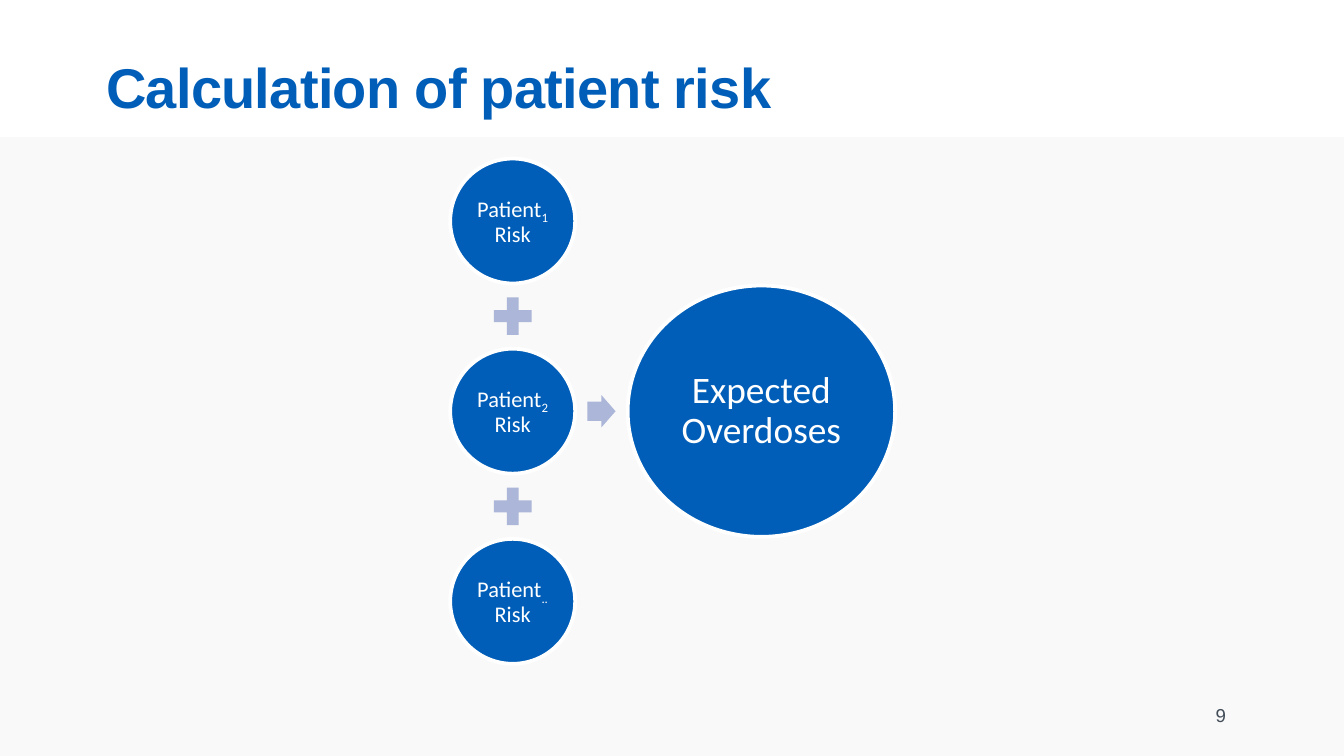
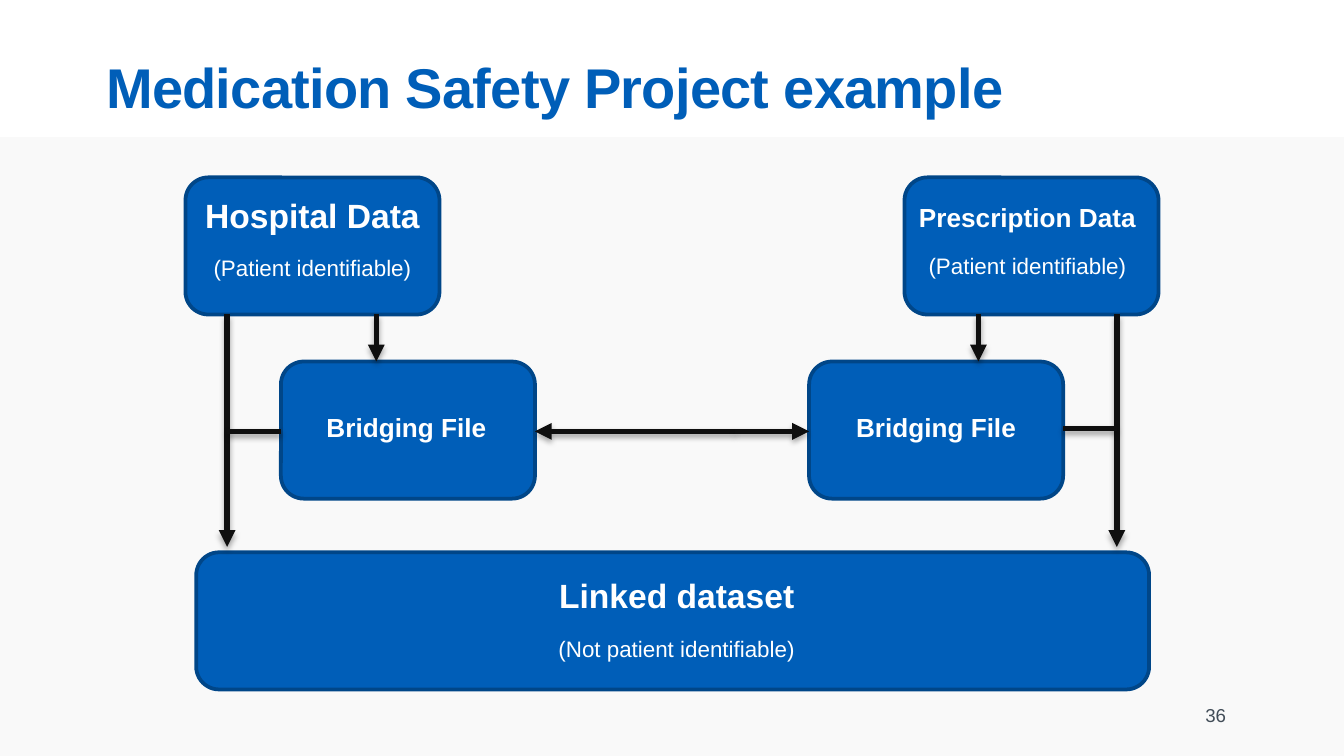
from lxml import etree
from pptx import Presentation
from pptx.dml.color import RGBColor
from pptx.enum.shapes import MSO_CONNECTOR, MSO_SHAPE
from pptx.enum.text import MSO_ANCHOR, PP_ALIGN
from pptx.oxml import parse_xml
from pptx.oxml.ns import nsdecls, qn
from pptx.util import Inches, Pt

BLUE = RGBColor(0x00, 0x5E, 0xB8)
DARK_BLUE = RGBColor(0x00, 0x46, 0x88)
PALE_BLUE = RGBColor(0xAB, 0xB6, 0xD8)
BAND_GREY = RGBColor(0xF9, 0xF9, 0xF9)
NUMBER_GREY = RGBColor(0x42, 0x4D, 0x58)
BLACK = RGBColor(0x0F, 0x0F, 0x0F)
WHITE = RGBColor(0xFF, 0xFF, 0xFF)

ELLIPSE = MSO_SHAPE.OVAL
PLUS = MSO_SHAPE.MATH_PLUS
ARROW = MSO_SHAPE.RIGHT_ARROW
ROUNDED = MSO_SHAPE.ROUNDED_RECTANGLE
RECTANGLE = MSO_SHAPE.RECTANGLE
STRAIGHT = MSO_CONNECTOR.STRAIGHT
MIDDLE, TOP = MSO_ANCHOR.MIDDLE, MSO_ANCHOR.TOP
LEFT, CENTER, RIGHT = PP_ALIGN.LEFT, PP_ALIGN.CENTER, PP_ALIGN.RIGHT

SLIDE_W = 10
SLIDE_H = SLIDE_W * 9 / 16
BAND_TOP = 1.02
BODY = (0, BAND_TOP, SLIDE_W, SLIDE_H - BAND_TOP)
LINE_SHADOW = (
    f'<a:effectLst {nsdecls("a")}>'
    '<a:outerShdw blurRad="39370" dist="22860" dir="5400000" rotWithShape="0">'
    '<a:srgbClr val="000000"><a:alpha val="35000"/></a:srgbClr>'
    '</a:outerShdw></a:effectLst>'
)


def inches(box):
    return [Inches(value) for value in box]


def style(paragraph, size, color, bold=False, align=CENTER, font="Arial"):
    paragraph.alignment = align
    paragraph.font.name = font
    paragraph.font.size = Pt(size)
    paragraph.font.bold = bold
    paragraph.font.color.rgb = color


def prepare_frame(frame, inset=None, anchor=TOP):
    frame.word_wrap = True
    frame.vertical_anchor = anchor
    if inset is not None:
        frame.margin_left = frame.margin_right = Inches(inset)
        frame.margin_top = frame.margin_bottom = Inches(inset)


def add_filled(slide, kind, box, fill, outline=None):
    shape = slide.shapes.add_shape(kind, *inches(box))
    shape.shadow.inherit = False
    shape.fill.solid()
    shape.fill.fore_color.rgb = fill
    if outline is None:
        shape.line.fill.background()
    else:
        shape.line.color.rgb = outline
        shape.line.width = Pt(2)
    return shape


def add_text(slide, box, text, size, color, bold=False, align=CENTER,
             inset=None, anchor=TOP):
    frame = slide.shapes.add_textbox(*inches(box)).text_frame
    prepare_frame(frame, inset, anchor)
    frame.text = text
    style(frame.paragraphs[0], size, color, bold, align)
    return frame


def add_base_slide(prs, title, number):
    """Blank slide with the grey band, the title and the slide number."""
    slide = prs.slides.add_slide(prs.slide_layouts[6])
    add_filled(slide, RECTANGLE, BODY, BAND_GREY)
    heading = add_text(slide, (0.79, 0.39, 8.35, 0.58), title, 30, BLUE,
                       bold=True, align=LEFT, inset=0)
    heading.paragraphs[0].runs[0].font._element.set("spc", "-40")
    add_text(slide, (6.89, 5.17, 2.33, 0.3), number, 10, NUMBER_GREY,
             align=RIGHT, anchor=MIDDLE)
    return slide


def add_circle(slide, box, parts, size, inset):
    """White-ringed circle; parts are (text, is_subscript) pairs."""
    frame = add_filled(slide, ELLIPSE, box, BLUE, WHITE).text_frame
    prepare_frame(frame, inset, MIDDLE)
    paragraph = frame.paragraphs[0]
    paragraph.line_spacing = 0.9
    style(paragraph, size, WHITE, font="Calibri")
    for text, is_subscript in parts:
        run = paragraph.add_run()
        run.text = text
        if is_subscript:
            run.font._element.set("baseline", "-25000")


def add_risk_sum(slide, body):
    """Column of patient risks that adds up to the expected overdoses."""
    left, top = body[0] + 3.35, body[1] + 0.16
    circle, plus = 0.93, 0.38
    subscripts = ("1", "2", "..")
    pitch = 2.83 / (len(subscripts) - 1)
    for i, subscript in enumerate(subscripts):
        y = top + i * pitch
        parts = (("Patient", False), (subscript, True), (" Risk", False))
        add_circle(slide, (left, y, circle, circle), parts, 12, 0.02)
        if i < len(subscripts) - 1:
            gap_middle = y + (circle + pitch) / 2
            add_filled(slide, PLUS, (left + (circle - plus) / 2,
                                     gap_middle - plus / 2, plus, plus), PALE_BLUE)

    middle = top + pitch + circle / 2
    arrow = add_filled(slide, ARROW, (left + 1.02, middle - 0.12, 0.21, 0.24), PALE_BLUE)
    arrow.adjustments[0], arrow.adjustments[1] = 0.6, 0.5
    total_w, total_h = 1.99, 1.87
    add_circle(slide, (left + 1.32, middle - total_h / 2, total_w, total_h),
               (("Expected Overdoses", False),), 20, 0.03)


def add_data_box(slide, box, title, size, note=None, text_drop=0.08, text_shift=0.0):
    """Rounded box with a bold title and an optional smaller note."""
    left, top, width, height = box
    add_filled(slide, ROUNDED, box, BLUE, DARK_BLUE)
    text_height = height - 0.25 if note else height / 2
    frame = add_text(slide, (left + text_shift, top + text_drop, width, text_height),
                     title, size, WHITE, bold=True)
    if note:
        paragraph = frame.add_paragraph()
        paragraph.text = note
        paragraph.space_before = Pt(10.4)
        style(paragraph, 12, WHITE)


def add_flow(slide, start, end, arrowhead=True):
    line = slide.shapes.add_connector(STRAIGHT, *inches(start + end))
    line.line.color.rgb = BLACK
    line.line.width = Pt(3)
    properties = line._element.spPr
    if arrowhead:
        etree.SubElement(properties.find(qn("a:ln")), qn("a:tailEnd"), type="triangle")
    properties.append(parse_xml(LINE_SHADOW))


def add_linkage(slide, body):
    """Two data sources, their bridging files and the dataset linked from them."""
    x, y = body[:2]
    box_w, box_h = 1.89, 1.02
    source_y, bridge_y, linked_y = y + 0.3, y + 1.67, y + 3.09
    hospital_x, prescription_x = x + 1.38, x + 6.73
    bridge_left, bridge_right = x + 2.09, x + 6.02
    identifiable = "(Patient identifiable)"

    add_data_box(slide, (hospital_x, source_y, box_w, box_h),
                 "Hospital Data", 18, identifiable)
    add_data_box(slide, (prescription_x, source_y, box_w, box_h),
                 "Prescription Data", 14, identifiable, 0.13, -0.03)
    for bridge_x, shift in ((bridge_left, -0.01), (bridge_right, 0)):
        add_data_box(slide, (bridge_x, bridge_y, box_w, box_h),
                     "Bridging File", 14, text_drop=0.32, text_shift=shift)
    add_data_box(slide, (x + 1.46, linked_y, 7.09, box_h), "Linked dataset", 18,
                 "(Not patient identifiable)", 0.12, 0.03)

    source_bottom = source_y + box_h
    left_rail, right_rail = x + 1.69, x + 8.31
    for rail in (left_rail, right_rail):
        add_flow(slide, (rail, source_bottom), (rail, linked_y - 0.04))
    for drop in (x + 7.28, x + 2.8):
        add_flow(slide, (drop, source_bottom), (drop, bridge_y))

    link_y, meeting_x = bridge_y + 0.52, x + 5.47
    for bridge_edge in (bridge_left + box_w, bridge_right):
        add_flow(slide, (meeting_x, link_y), (bridge_edge, link_y))
    add_flow(slide, (left_rail, link_y), (bridge_left, link_y), arrowhead=False)
    add_flow(slide, (bridge_right + box_w, link_y - 0.02),
             (right_rail, link_y - 0.02), arrowhead=False)


def main():
    prs = Presentation()
    prs.slide_width, prs.slide_height = Inches(SLIDE_W), Inches(SLIDE_H)
    add_risk_sum(add_base_slide(prs, "Calculation of patient risk", "9"), BODY)
    add_linkage(add_base_slide(prs, "Medication Safety Project example", "36"), BODY)
    prs.save("out.pptx")


if __name__ == "__main__":
    main()
